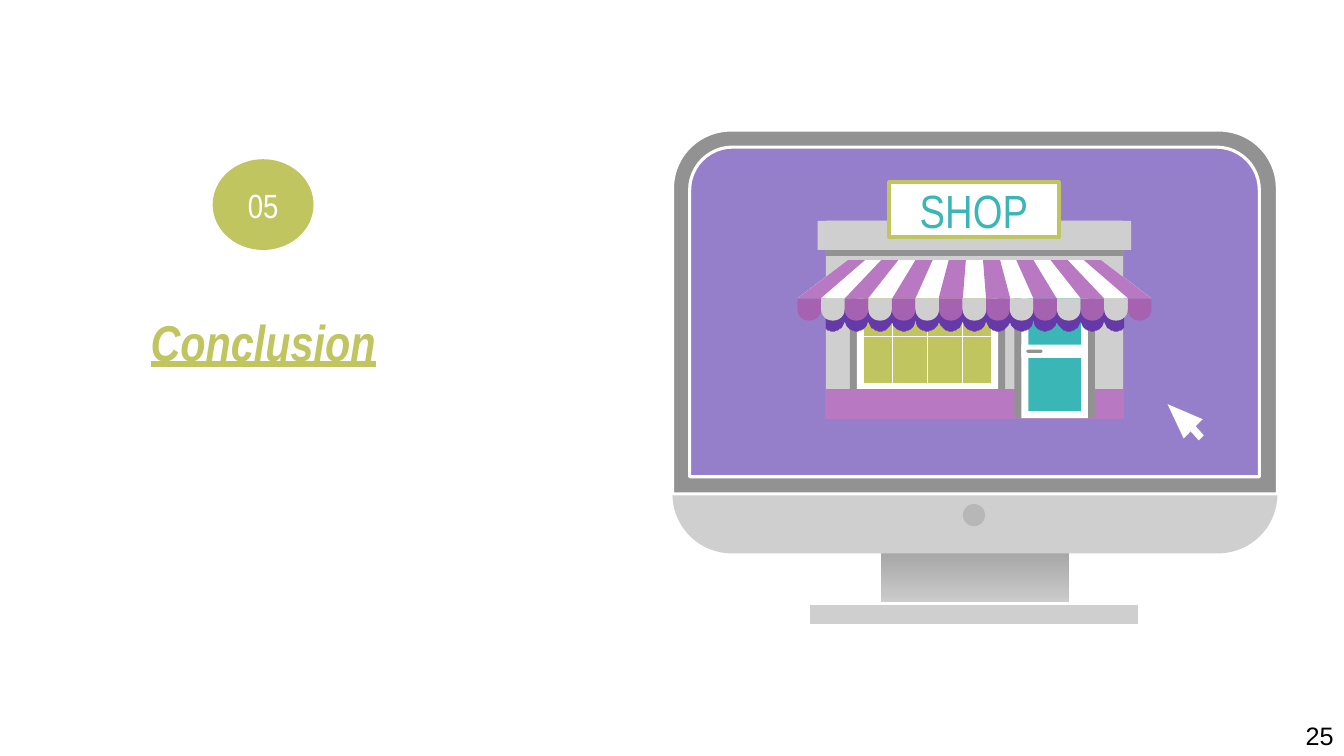
from dataclasses import dataclass
from math import sqrt

from lxml.etree import SubElement
from pptx import Presentation
from pptx.dml.color import RGBColor
from pptx.enum.shapes import MSO_CONNECTOR, MSO_SHAPE
from pptx.enum.text import MSO_ANCHOR, PP_ALIGN
from pptx.oxml.ns import qn
from pptx.util import Emu, Pt

PX = 9144  # one px is a hundredth of an inch
STRIPES = 15
AWNING_LEFT, AWNING_RIGHT = 791, 1142
PITCH = (AWNING_RIGHT - AWNING_LEFT) / STRIPES


@dataclass(frozen=True)
class Theme:
    white: str = "FFFFFF"
    black: str = "000000"
    olive: str = "C0C55F"
    teal: str = "39B6B5"
    screen: str = "957FCA"
    light: str = "CFCFCF"
    grey: str = "929292"
    button: str = "B7B7B7"
    stand_top: str = "919191"
    stand_bottom: str = "DDDDDD"
    orchid: str = "B878C2"
    plum: str = "A562B0"
    violet: str = "6639A8"
    narrow: str = "Arial Narrow"
    plain: str = "Arial"
    heading: float = 36
    sign: float = 33.3
    badge: float = 24
    number: float = 18
    frame_line: float = 2.25
    sign_line: float = 2.75
    pane_line: float = 0.85


THEME = Theme()


def px(*lengths):
    return [Emu(round(length * PX)) for length in lengths]


def rgb(color):
    return RGBColor.from_string(color)


def paint(shape, fill, line=None, weight=THEME.frame_line):
    shape.shadow.inherit = False
    shape.fill.solid()
    shape.fill.fore_color.rgb = rgb(fill)
    if line:
        shape.line.color.rgb = rgb(line)
        shape.line.width = Pt(weight)
    else:
        shape.line.fill.background()
    return shape


def block(slide, box, fill, kind=MSO_SHAPE.RECTANGLE, corners=(), **outline):
    """Draw a preset shape; corners are its adjustment values."""
    shape = slide.shapes.add_shape(kind, *px(*box))
    for index, corner in enumerate(corners):
        shape.adjustments[index] = corner
    return paint(shape, fill, **outline)


def polygon(slide, points, fill):
    builder = slide.shapes.build_freeform(*points[0], scale=PX)
    builder.add_line_segments(points[1:])
    return paint(builder.convert_to_shape(), fill)


def pane_bar(slide, *ends):
    bar = slide.shapes.add_connector(MSO_CONNECTOR.STRAIGHT, *px(*ends))
    bar.line.color.rgb = rgb(THEME.white)
    bar.line.width = Pt(THEME.pane_line)
    SubElement(bar._element.spPr, qn("a:effectLst"))


def write(shape, words, size, color, font=THEME.narrow, emphasis=False):
    """Centre one run in the shape; emphasis is bold, italic and underlined."""
    frame = shape.text_frame
    frame.word_wrap = True
    frame.vertical_anchor = MSO_ANCHOR.MIDDLE
    frame.margin_left, frame.margin_right, frame.margin_top, frame.margin_bottom = px(13, 13, 13, 13)
    paragraph = frame.paragraphs[0]
    paragraph.alignment = PP_ALIGN.CENTER
    style_run(paragraph, words, size, color, font, emphasis)


def style_run(paragraph, words, size, color, font, emphasis=False):
    run = paragraph.add_run()
    run.text = words
    run.font.name = font
    run.font.size = Pt(size)
    run.font.color.rgb = rgb(color)
    if emphasis:
        run.font.bold = run.font.italic = run.font.underline = True


def draw_monitor(slide):
    stand = block(slide, (874, 522, 186, 97), THEME.stand_top)
    stand.fill.gradient()
    stand.fill.gradient_angle = 270
    for stop, color in zip(stand.fill.gradient_stops, (THEME.stand_top, THEME.stand_bottom)):
        stop.color.rgb = rgb(color)
    block(slide, (802, 599, 328, 22), THEME.light, line=THEME.white)
    block(slide, (667, 129, 600, 420), THEME.light, MSO_SHAPE.ROUNDED_RECTANGLE, (0.14,))
    block(slide, (955, 500, 22, 22), THEME.button, MSO_SHAPE.OVAL)
    top_rounded = MSO_SHAPE.ROUND_2_SAME_RECTANGLE
    block(slide, (667, 129, 600, 361), THEME.grey, top_rounded, (0.16, 0), line=THEME.white)
    block(slide, (684, 146, 565, 327), THEME.screen, top_rounded, (0.13, 0), line=THEME.white)


def draw_shop_front(slide):
    block(slide, (819, 219, 295, 196), THEME.light)
    window = ((843, 274, 154, 119), THEME.grey), ((850, 281, 140, 105), THEME.white), ((857, 288, 126, 92), THEME.olive)
    for box, fill in window:
        block(slide, box, fill)
    pane_bar(slide, 853, 334, 987, 334)
    for x in range(885, 956, 35):
        pane_bar(slide, x, 277, x, 384)
    block(slide, (819, 386, 295, 29), THEME.orchid, line=THEME.orchid, weight=0.75)
    door = ((1006, 261, 80, 154), THEME.grey), ((1013, 258, 66, 157), THEME.white), ((1020, 265, 52, 143), THEME.teal)
    for box, fill in door:
        block(slide, box, fill)
    draw_valance(slide, 819, 1115)
    block(slide, (1013, 342, 66, 13), THEME.white)
    block(slide, (1018, 347, 16, 3), THEME.grey, MSO_SHAPE.ROUNDED_RECTANGLE, (0.5,))
    block(slide, (819, 230, 295, 24), THEME.grey)
    block(slide, (811, 219, 311, 29), THEME.light)
    sign = block(slide, (882, 181, 168, 54), THEME.white, line=THEME.olive, weight=THEME.sign_line)
    write(sign, "SHOP", THEME.sign, THEME.teal)


def draw_valance(slide, left, right):
    """Draw the scalloped shade that the awning casts, cut off at both walls."""
    radius = PITCH / 2
    hem = []
    for x in range(left, right + 1):
        offset = (x - AWNING_LEFT) % PITCH - radius
        hem.append((x, 317 + sqrt(max(0, radius ** 2 - offset ** 2))))
    polygon(slide, [(left, 307), *hem, (right, 307)], THEME.violet)


def draw_awning(slide):
    top_left, top_right, top, bottom = 841, 1092, 258, 296
    top_pitch = (top_right - top_left) / STRIPES

    def slat(first, last):
        return [(top_left + first * top_pitch, top), (AWNING_LEFT + first * PITCH, bottom),
                (AWNING_LEFT + last * PITCH, bottom), (top_left + last * top_pitch, top)]

    polygon(slide, slat(0, STRIPES), THEME.white)
    for stripe in range(0, STRIPES, 2):
        polygon(slide, slat(stripe, stripe + 1), THEME.orchid)
    for scallop in range(STRIPES):
        box = (AWNING_LEFT + scallop * PITCH, bottom, PITCH, 22)
        fill = THEME.light if scallop % 2 else THEME.plum
        block(slide, box, fill, MSO_SHAPE.ROUND_2_SAME_RECTANGLE, (0, 0.5))


def draw_pointer(slide):
    polygon(slide, [(1158, 401), (1174, 435), (1181, 428), (1189, 437),
                    (1194, 432), (1186, 423), (1193, 416)], THEME.white)


def add_heading(slide):
    badge = block(slide, (211, 158, 100, 90), THEME.olive, MSO_SHAPE.OVAL)
    write(badge, "05", THEME.badge, THEME.white)
    heading = slide.shapes.add_textbox(*px(40, 307, 442, 63))
    write(heading, "Conclusion", THEME.heading, THEME.olive, emphasis=True)


def add_slide_number(slide):
    number = slide.shapes.add_textbox(*px(1285, 710, 48, 40))
    style_run(number.text_frame.paragraphs[0], "25", THEME.number, THEME.black, THEME.plain)


def main():
    deck = Presentation()
    deck.slide_width, deck.slide_height = px(1333, 750)
    slide = deck.slides.add_slide(deck.slide_layouts[6])
    draw_monitor(slide)
    draw_shop_front(slide)
    draw_awning(slide)
    draw_pointer(slide)
    add_heading(slide)
    add_slide_number(slide)
    deck.save("out.pptx")


if __name__ == "__main__":
    main()
